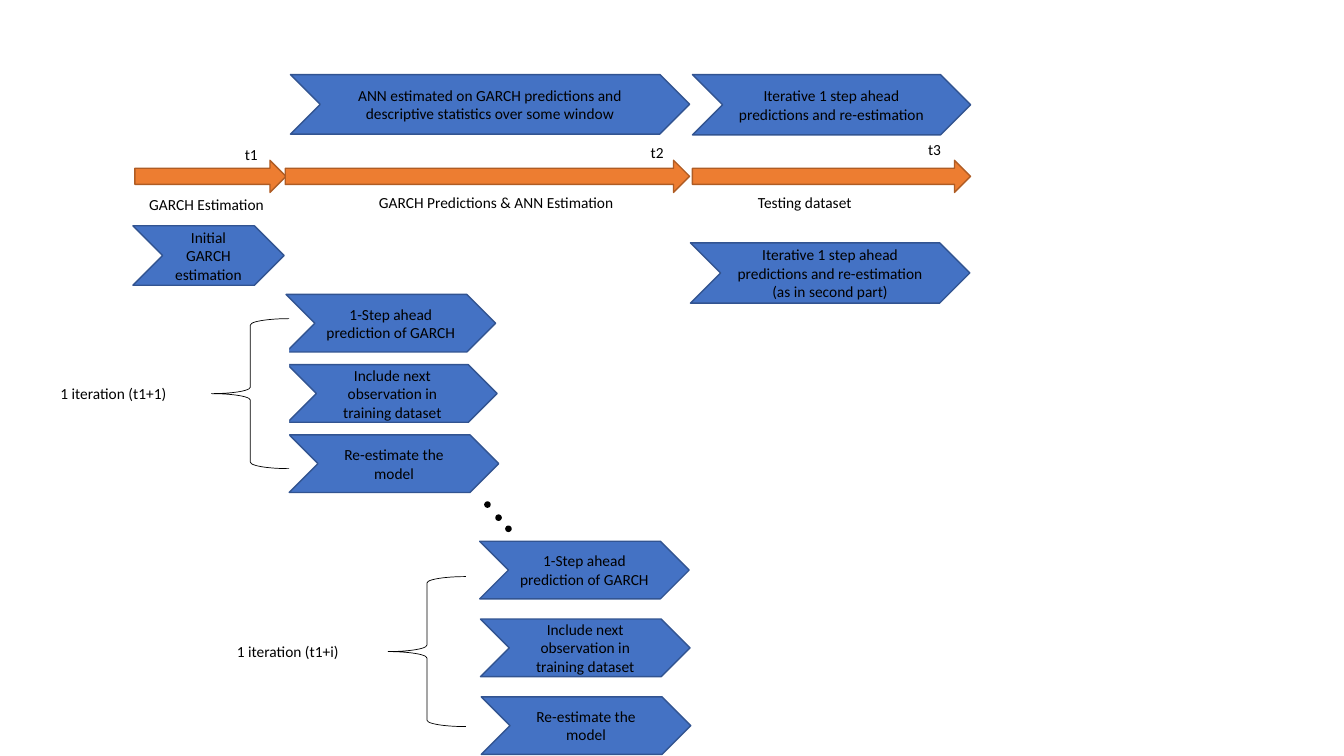
from pptx import Presentation
from pptx.dml.color import RGBColor
from pptx.enum.shapes import MSO_SHAPE
from pptx.enum.text import MSO_ANCHOR, MSO_AUTO_SIZE, PP_ALIGN
from pptx.util import Cm, Pt

ARROW = MSO_SHAPE.RIGHT_ARROW
CHEVRON = MSO_SHAPE.CHEVRON
BRACE = MSO_SHAPE.LEFT_BRACE
ELLIPSE = MSO_SHAPE.OVAL
CENTER = PP_ALIGN.CENTER
LEFT = PP_ALIGN.LEFT
MIDDLE = MSO_ANCHOR.MIDDLE
GROW = MSO_AUTO_SIZE.SHAPE_TO_FIT_TEXT

BLACK = RGBColor(0x00, 0x00, 0x00)
WHITE = RGBColor(0xFF, 0xFF, 0xFF)
ORANGE = RGBColor(0xED, 0x7D, 0x31)
DARK_ORANGE = RGBColor(0xAF, 0x5C, 0x24)
BLUE = RGBColor(0x44, 0x72, 0xC4)
DARK_BLUE = RGBColor(0x32, 0x54, 0x91)

BLANK_LAYOUT = 6
LABEL_HEIGHT = 0.74
STEP_WIDTH, STEP_HEIGHT = 5.28, 1.45
STEPS = (
    "1-Step ahead prediction of GARCH ",
    "Include next observation in training dataset",
    "Re-estimate the model",
)


class DiagramSlide:
    """Holds the text style and the current slide; lengths are in centimetres."""

    font_name = "Calibri"
    font_size = Pt(11)

    def __init__(self, slide):
        """Keep the slide to draw on."""
        self.slide = slide

    def add_text(self, shape, text, alignment):
        """Put one styled run of text into a shape."""
        shape.text_frame.word_wrap = True
        paragraph = shape.text_frame.paragraphs[0]
        paragraph.alignment = alignment
        run = paragraph.add_run()
        run.text = text
        run.font.name = self.font_name
        run.font.size = self.font_size
        run.font.color.rgb = BLACK

    def shape(self, kind, box, fill, line, line_width=1):
        """Add a filled and outlined preset shape."""
        shape = self.slide.shapes.add_shape(kind, *map(Cm, box))
        shape.shadow.inherit = False
        shape.fill.solid()
        shape.fill.fore_color.rgb = fill
        shape.line.color.rgb = line
        shape.line.width = Pt(line_width)
        return shape

    def arrow(self, left, width):
        """Add one section of the timeline."""
        self.shape(ARROW, (left, 4.04, width, 0.81), ORANGE, DARK_ORANGE)

    def chevron(self, text, *box):
        """Add a blue chevron with centred text."""
        chevron = self.shape(CHEVRON, box, BLUE, DARK_BLUE)
        chevron.text_frame.vertical_anchor = MIDDLE
        self.add_text(chevron, text, CENTER)

    def label(self, text, left, top, width):
        """Add a left-aligned text label."""
        box = map(Cm, (left, top, width, LABEL_HEIGHT))
        label = self.slide.shapes.add_textbox(*box)
        self.add_text(label, text, LEFT)
        label.text_frame.auto_size = GROW

    def dot(self, left, top):
        """Add one dot of the ellipsis between iterations."""
        self.shape(ELLIPSE, (left, top, 0.13, 0.13), BLACK, BLACK)

    def iteration(self, name, left, top, shift, pitch, brace_left, brace_top):
        """Add the three steps of an iteration with their brace and name."""
        for index, step in enumerate(STEPS):
            self.chevron(step, left + index * shift, top + index * pitch,
                         STEP_WIDTH, STEP_HEIGHT)
        self.shape(BRACE, (brace_left, brace_top, 1.96, 3.78), WHITE, BLACK, 0.5)
        self.label(name, brace_left - 4.06, brace_top + 1.52, 3.81)


presentation = Presentation()
presentation.slide_width = Cm(33.87)
presentation.slide_height = Cm(19.05)
layout = presentation.slide_layouts[BLANK_LAYOUT]
diagram = DiagramSlide(presentation.slides.add_slide(layout))

for left, width in ((3.4, 3.81), (7.19, 10.19), (17.45, 7.01)):
    diagram.arrow(left, width)

diagram.iteration("1 iteration (t1+1)", 7.21, 7.42, 0.04, 1.77, 5.33, 8.03)
for left, top in ((12.22, 12.65), (12.5, 12.98), (12.75, 13.26)):
    diagram.dot(left, top)
diagram.iteration("1 iteration (t1+i)", 12.09, 13.64, 0.02, 1.96, 9.78, 14.53)

for text, left, top, width in (
    ("t1", 5.92, 3.53, 2.69),
    ("t2", 16.15, 3.48, 2.69),
    ("t3", 23.14, 3.4, 2.69),
    ("GARCH Estimation", 3.51, 4.8, 3.63),
    ("GARCH Predictions & ANN Estimation", 9.3, 4.75, 8.08),
    ("Testing dataset", 18.85, 4.75, 3.96),
):
    diagram.label(text, left, top, width)

ITERATIVE = "Iterative 1 step ahead predictions and re-estimation"
diagram.chevron("Initial GARCH estimation", 3.35, 5.69, 3.81, 1.5)
diagram.chevron("ANN estimated on GARCH predictions and descriptive statistics "
                "over some window", 7.32, 1.88, 10.06, 1.5)
diagram.chevron(ITERATIVE, 17.45, 1.88, 7.01, 1.52)
diagram.chevron(ITERATIVE + " (as in second part)", 17.4, 6.12, 7.04, 1.52)

presentation.save("out.pptx")
